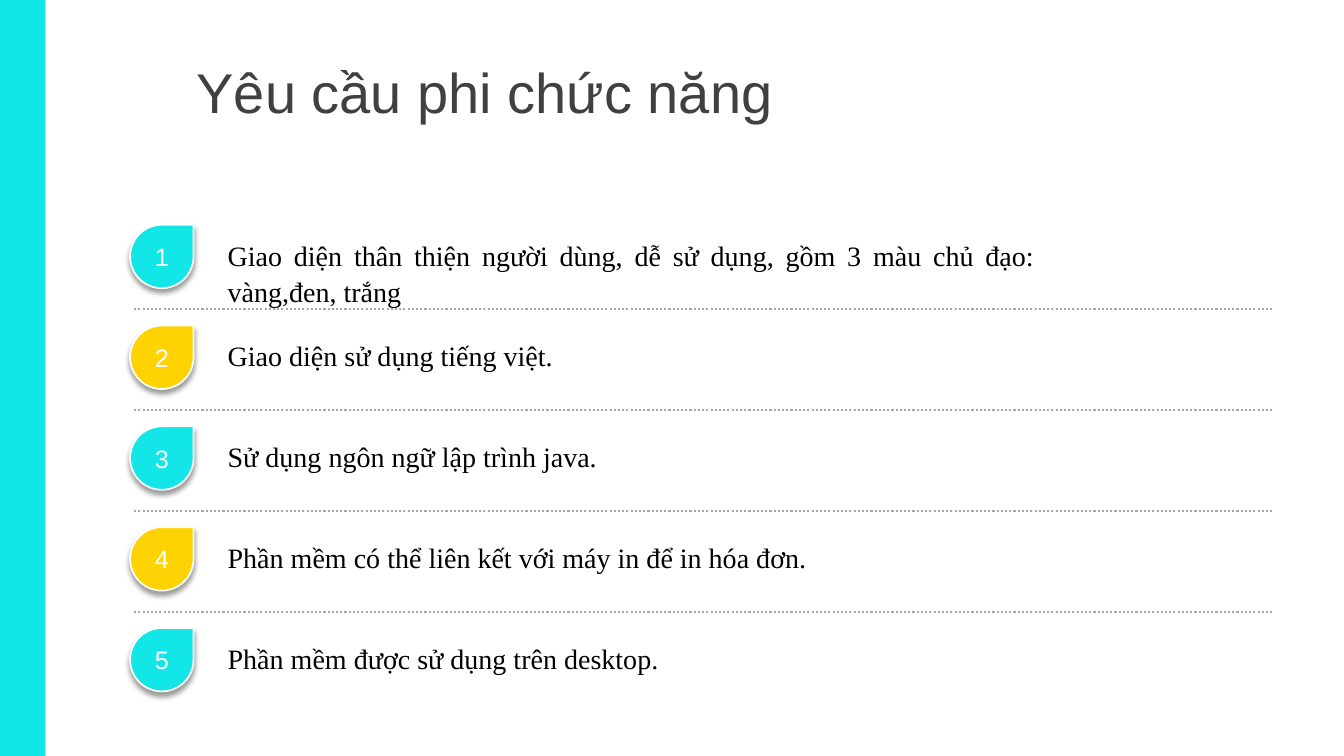
"""Build the slide of non-functional requirements."""
from dataclasses import dataclass

from lxml import etree
from pptx import Presentation
from pptx.dml.color import RGBColor
from pptx.enum.dml import MSO_LINE
from pptx.enum.shapes import MSO_CONNECTOR, MSO_SHAPE
from pptx.enum.text import MSO_ANCHOR, MSO_AUTO_SIZE, PP_ALIGN
from pptx.oxml.ns import qn
from pptx.shapes.autoshape import Shape
from pptx.slide import Slide
from pptx.text.text import TextFrame
from pptx.util import Inches, Pt

RECT, DROP = MSO_SHAPE.RECTANGLE, MSO_SHAPE.TEAR
LINE, DOTS = MSO_CONNECTOR.STRAIGHT, MSO_LINE.ROUND_DOT
TOP, MID = MSO_ANCHOR.TOP, MSO_ANCHOR.MIDDLE
LEFT, CENTER, FULL = PP_ALIGN.LEFT, PP_ALIGN.CENTER, PP_ALIGN.JUSTIFY
FIXED = MSO_AUTO_SIZE.NONE


@dataclass(frozen=True)
class Font:
    """Face, size and colour of a text."""
    face: str
    size: int
    color: str


@dataclass(frozen=True)
class Theme:
    """Colours and type of the slide."""
    cyan: str = "12E6E6"
    gold: str = "FFD302"
    white: str = "FFFFFF"
    rule: str = "A6A6A6"
    shade: str = "000000"
    title: Font = Font("Arial", 40, "404040")
    badge: Font = Font("Arial", 18, "FFFFFF")
    body: Font = Font("Times New Roman", 20, "000000")


@dataclass(frozen=True)
class Item:
    """One numbered requirement."""
    text: str
    color: str
    height: float = 0.44


THEME = Theme()
ITEMS = (
    Item("Giao diện thân thiện người dùng, dễ sử dụng, gồm 3 màu chủ đạo: "
         "vàng,đen, trắng", THEME.cyan, 0.8),
    Item("Giao diện sử dụng tiếng việt.", THEME.gold),
    Item("Sử dụng ngôn ngữ lập trình java.", THEME.cyan),
    Item("Phần mềm có thể liên kết với máy in để in hóa đơn.", THEME.gold),
    Item("Phần mềm được sử dụng trên desktop.", THEME.cyan),
)
START, PITCH = 2.23, 1.0


def write(frame: TextFrame, text: str, font: Font, align: PP_ALIGN,
          anchor: MSO_ANCHOR = TOP) -> None:
    """Put one run of text into a frame."""
    frame.word_wrap = True
    frame.auto_size = FIXED
    frame.vertical_anchor = anchor
    para = frame.paragraphs[0]
    para.alignment = align
    run = para.add_run()
    run.text = text
    run.font.name = font.face
    run.font.size = Pt(font.size)
    run.font.color.rgb = RGBColor.from_string(font.color)


def paint(shape: Shape, color: str) -> None:
    """Fill a shape and clear its shadow."""
    shape.shadow.inherit = False
    shape.fill.solid()
    shape.fill.fore_color.rgb = RGBColor.from_string(color)


def shade(shape: Shape) -> None:
    """Drop a soft shadow below a shape."""
    effect = shape.element.spPr.find(qn("a:effectLst"))
    outer = etree.SubElement(effect, qn("a:outerShdw"), blurRad=str(Pt(4)),
                             dist=str(Pt(3)), dir="5400000", rotWithShape="0")
    color = etree.SubElement(outer, qn("a:srgbClr"), val=THEME.shade)
    etree.SubElement(color, qn("a:alpha"), val="40000")


def add_bar(slide: Slide) -> None:
    """Draw the band at the left edge."""
    bar = slide.shapes.add_shape(RECT, 0, 0, Inches(0.45), Inches(7.5))
    paint(bar, THEME.cyan)
    bar.line.fill.background()


def add_title(slide: Slide) -> None:
    """Place and fill the title."""
    title = slide.shapes.title
    title.left, title.top = Inches(1.85), Inches(0.52)
    title.width, title.height = Inches(5.97), Inches(0.77)
    write(title.text_frame, "Yêu cầu phi chức năng", THEME.title, LEFT)


def add_rule(slide: Slide, y: float) -> None:
    """Draw a dotted rule between two items."""
    rule = slide.shapes.add_connector(LINE, Inches(1.33), Inches(y),
                                      Inches(12.63), Inches(y))
    rule.line.color.rgb = RGBColor.from_string(THEME.rule)
    rule.line.width = Pt(1.5)
    rule.line.dash_style = DOTS
    etree.SubElement(rule.element.spPr, qn("a:effectLst"))


def add_badge(slide: Slide, label: str, color: str, y: float) -> None:
    """Draw a numbered drop."""
    side = Inches(0.63)
    drop = slide.shapes.add_shape(DROP, Inches(1.29), Inches(y), side, side)
    paint(drop, color)
    shade(drop)
    drop.line.color.rgb = RGBColor.from_string(THEME.white)
    drop.line.width = Pt(1.25)
    frame = drop.text_frame
    frame.margin_left = frame.margin_right = 0
    frame.margin_top = frame.margin_bottom = 0
    write(frame, label, THEME.badge, CENTER, MID)


def add_text(slide: Slide, item: Item, y: float) -> None:
    """Write the text of an item."""
    box = slide.shapes.add_textbox(Inches(2.16), Inches(y), Inches(8.2),
                                   Inches(item.height))
    write(box.text_frame, item.text, THEME.body, FULL)
    box.text_frame.paragraphs[0].line_spacing = 1.07


def main() -> None:
    """Build and save the deck."""
    deck = Presentation()
    deck.slide_width, deck.slide_height = Inches(13.33), Inches(7.5)
    slide = deck.slides.add_slide(deck.slide_layouts[5])
    add_bar(slide)
    add_title(slide)
    for index, item in enumerate(ITEMS):
        y = START + index * PITCH
        if index:
            add_rule(slide, y - 0.16)
        add_badge(slide, str(index + 1), item.color, y)
        add_text(slide, item, y + 0.06)
    deck.save("out.pptx")


if __name__ == "__main__":
    main()
